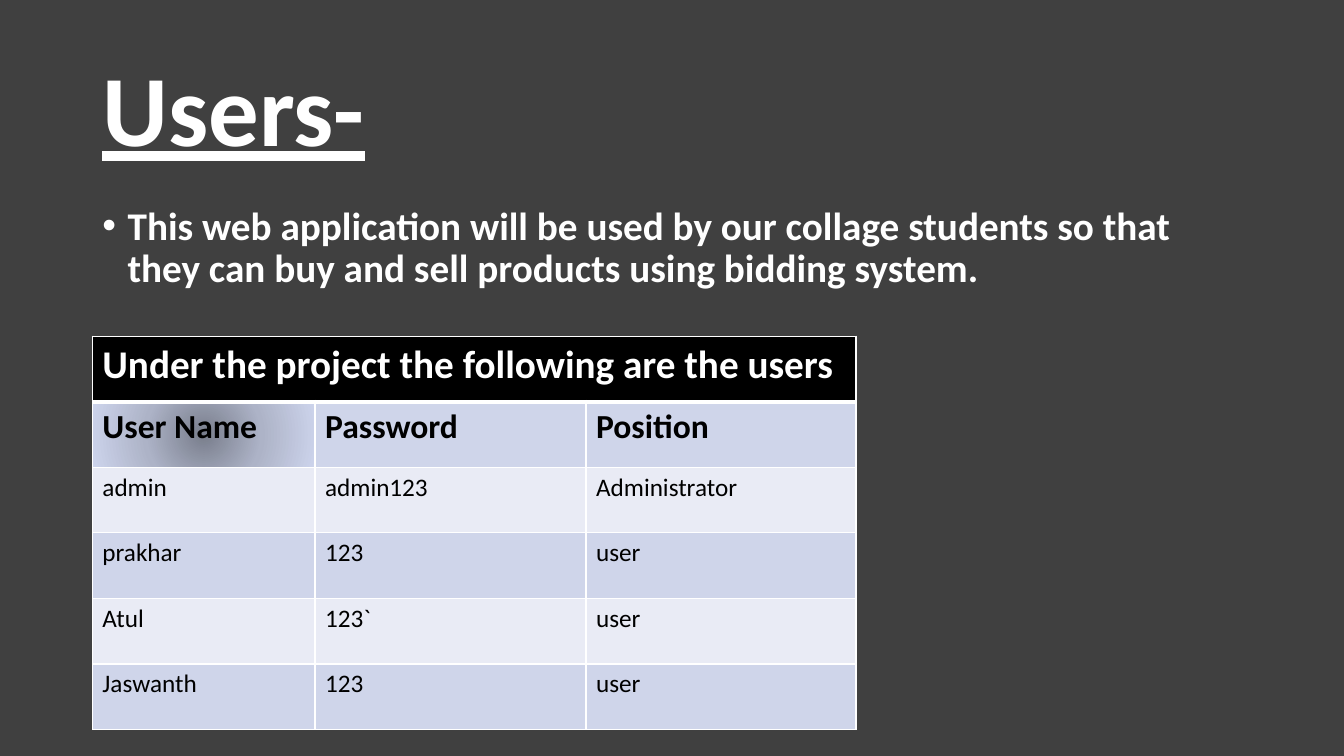
from dataclasses import dataclass
from lxml import etree
from pptx import Presentation
from pptx.dml.color import RGBColor
from pptx.enum.text import MSO_ANCHOR, MSO_AUTO_SIZE, PP_ALIGN
from pptx.oxml import parse_xml
from pptx.oxml.ns import qn
from pptx.util import Pt

MIDDLE, TOP = MSO_ANCHOR.MIDDLE, MSO_ANCHOR.TOP
LEFT = PP_ALIGN.LEFT
NO_FIT = MSO_AUTO_SIZE.NONE
NS = 'xmlns:a="http://schemas.openxmlformats.org/drawingml/2006/main"'


@dataclass(frozen=True)
class Theme:
    font: str = "Calibri"
    background: str = "404040"
    light: str = "FFFFFF"
    dark: str = "000000"
    bands: tuple = ("CFD5EA", "E9EBF5")
    glow: tuple = ((0, "797E8C"), (50, "ADB3C7"), (100, "CDD4EC"))
    title: int = 72
    body: int = 28
    heading: int = 24
    cell: int = 18


THEME = Theme()
USERS = [
    ("User Name", "Password", "Position"),
    ("admin", "admin123", "Administrator"),
    ("prakhar", "123", "user"),
    ("Atul", "123`", "user"),
    ("Jaswanth", "123", "user"),
]


def write(tf, text, size, color=THEME.light, bold=True, underline=False,
          anchor=TOP, spacing=None, before=0):
    tf.word_wrap = True
    tf.vertical_anchor = anchor
    p = tf.paragraphs[0]
    p.alignment = LEFT
    p.space_before = Pt(before)
    if spacing:
        p.line_spacing = spacing
    r = p.add_run()
    r.text = text
    r.font.name = THEME.font
    r.font.size = Pt(size)
    r.font.bold = bold
    r.font.underline = underline
    r.font.color.rgb = RGBColor.from_string(color)
    return p


def place(sp, box):
    sp.left, sp.top, sp.width, sp.height = (Pt(v) for v in box)
    sp.text_frame.auto_size = NO_FIT


def add_bullet(p, indent):
    pPr = p._p.get_or_add_pPr()
    pPr.set("marL", str(Pt(indent)))
    pPr.set("indent", str(-Pt(indent)))
    etree.SubElement(pPr, qn("a:buFont")).set("typeface", "Arial")
    etree.SubElement(pPr, qn("a:buChar")).set("char", "•")


def set_borders(cell, top=1, bottom=1):
    tcPr = cell._tc.get_or_add_tcPr()
    widths = {"lnL": 1, "lnR": 1, "lnT": top, "lnB": bottom}
    for i, (side, width) in enumerate(widths.items()):
        tcPr.insert(i, parse_xml(
            f'<a:{side} {NS} w="{Pt(width)}"><a:solidFill>'
            f'<a:srgbClr val="{THEME.light}"/></a:solidFill></a:{side}>'))


def fill_solid(cell, color):
    cell.fill.solid()
    cell.fill.fore_color.rgb = RGBColor.from_string(color)


def fill_glow(cell):
    stops = "".join(f'<a:gs pos="{pos * 1000}"><a:srgbClr val="{color}"/></a:gs>'
                    for pos, color in THEME.glow)
    cell._tc.get_or_add_tcPr().append(parse_xml(
        f'<a:gradFill {NS} rotWithShape="1"><a:gsLst>{stops}</a:gsLst>'
        '<a:path path="circle"><a:fillToRect l="50000" t="50000" '
        'r="50000" b="50000"/></a:path></a:gradFill>'))


def add_title(s, box, text):
    sp = s.shapes.title
    place(sp, box)
    write(sp.text_frame, text, THEME.title, underline=True,
          anchor=MIDDLE, spacing=0.9)


def add_body(s, box, text):
    sp = s.placeholders[1]
    place(sp, box)
    p = write(sp.text_frame, text, THEME.body, spacing=0.9, before=10)
    add_bullet(p, 18)


def add_users_table(s, box, heading, rows, shares):
    left, top, width, height = box
    count = len(rows) + 1
    table = s.shapes.add_table(count, len(shares), Pt(left), Pt(top),
                               Pt(width), Pt(height)).table
    for column, share in zip(table.columns, shares):
        column.width = Pt(width * share / sum(shares))
    for row in table.rows:
        row.height = Pt(height / count)

    for cell in table.rows[0].cells:
        fill_solid(cell, THEME.dark)
        set_borders(cell, bottom=3)
    title_cell = table.cell(0, 0)
    title_cell.merge(table.cell(0, len(shares) - 1))
    write(title_cell.text_frame, heading, THEME.body)

    for i, values in enumerate(rows):
        labels = i == 0
        for j, text in enumerate(values):
            cell = table.cell(i + 1, j)
            write(cell.text_frame, text, THEME.heading if labels else THEME.cell,
                  color=THEME.dark, bold=labels)
            if labels and j == 0:
                fill_glow(cell)
            else:
                fill_solid(cell, THEME.bands[i % 2])
            set_borders(cell, top=3 if labels else 1)


def build_users_slide(prs, box):
    left, top, width, height = box
    s = prs.slides.add_slide(prs.slide_layouts[1])
    s.background.fill.solid()
    s.background.fill.fore_color.rgb = RGBColor.from_string(THEME.background)
    add_title(s, (left, top, width, 104.4), "Users-")
    add_body(s, (left, top + 115, width, height - 115),
             "This web application will be used by our collage students so that "
             "they can buy and sell products using bidding system.")
    add_users_table(s, (left, top + 211.5, 545.5, 280.8),
                    "Under the project the following are the users",
                    USERS, (2.21, 2.69, 2.68))


prs = Presentation()
prs.slide_width, prs.slide_height = Pt(960), Pt(540)
build_users_slide(prs, (66, 28.75, 828, 458))
prs.save("out.pptx")
